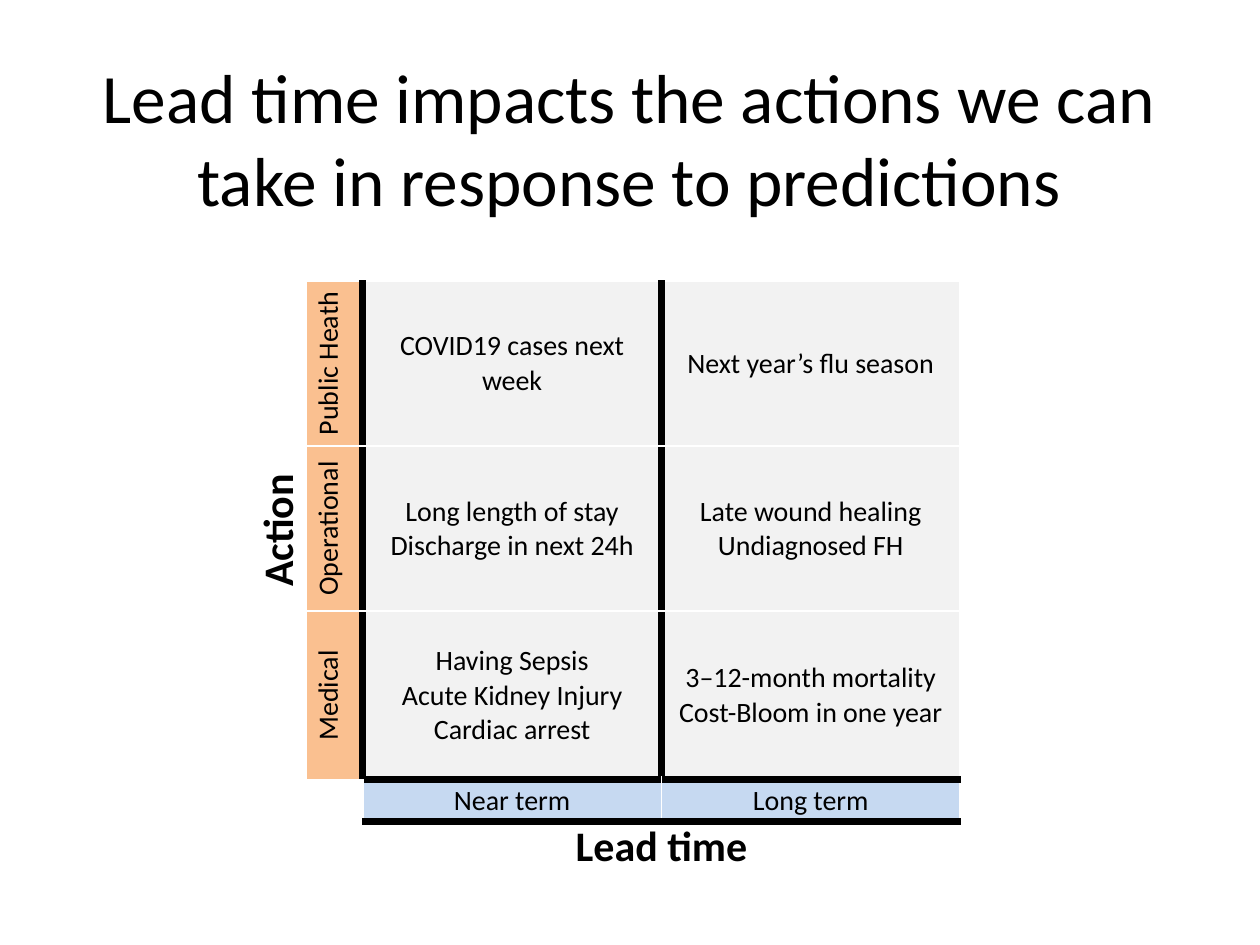
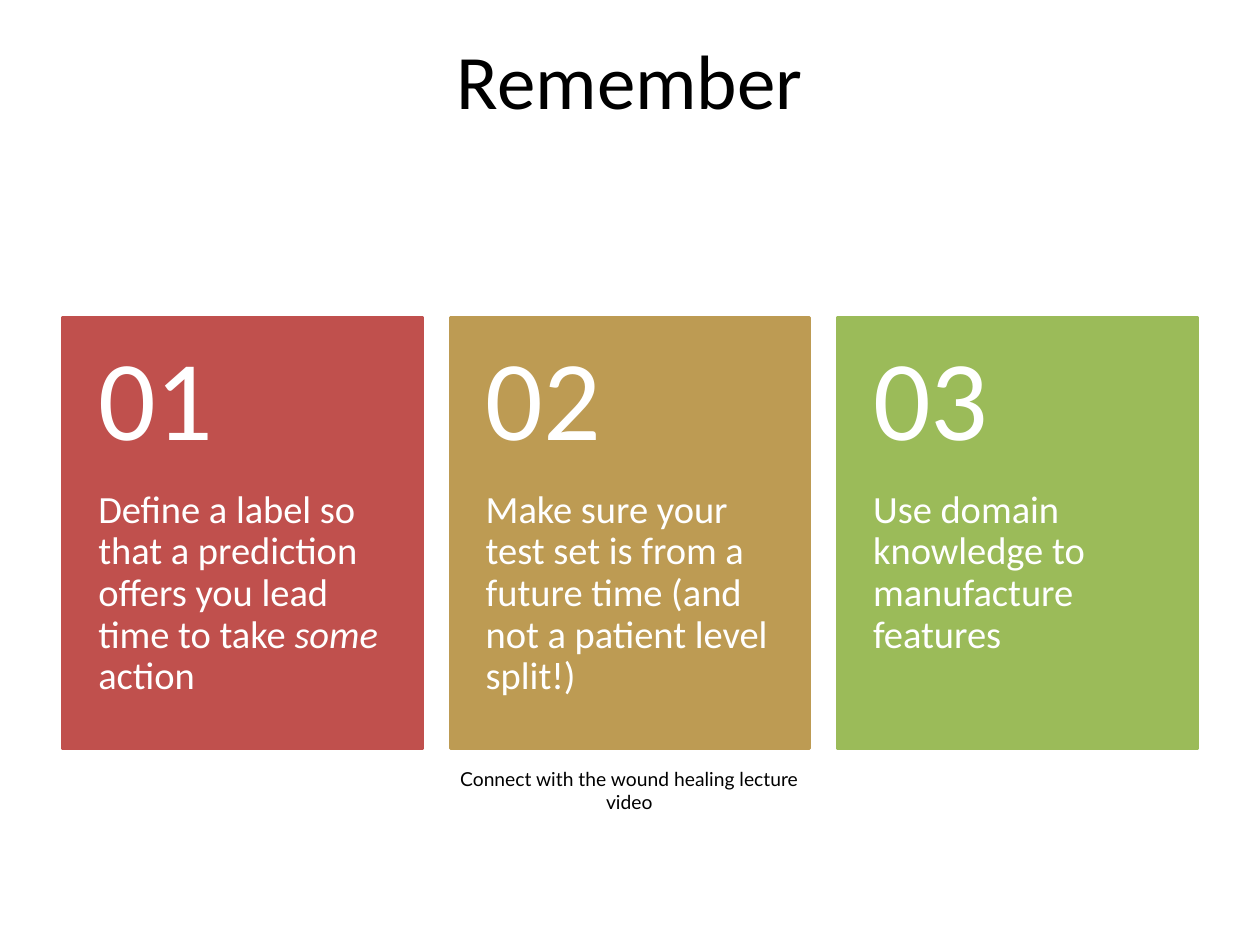
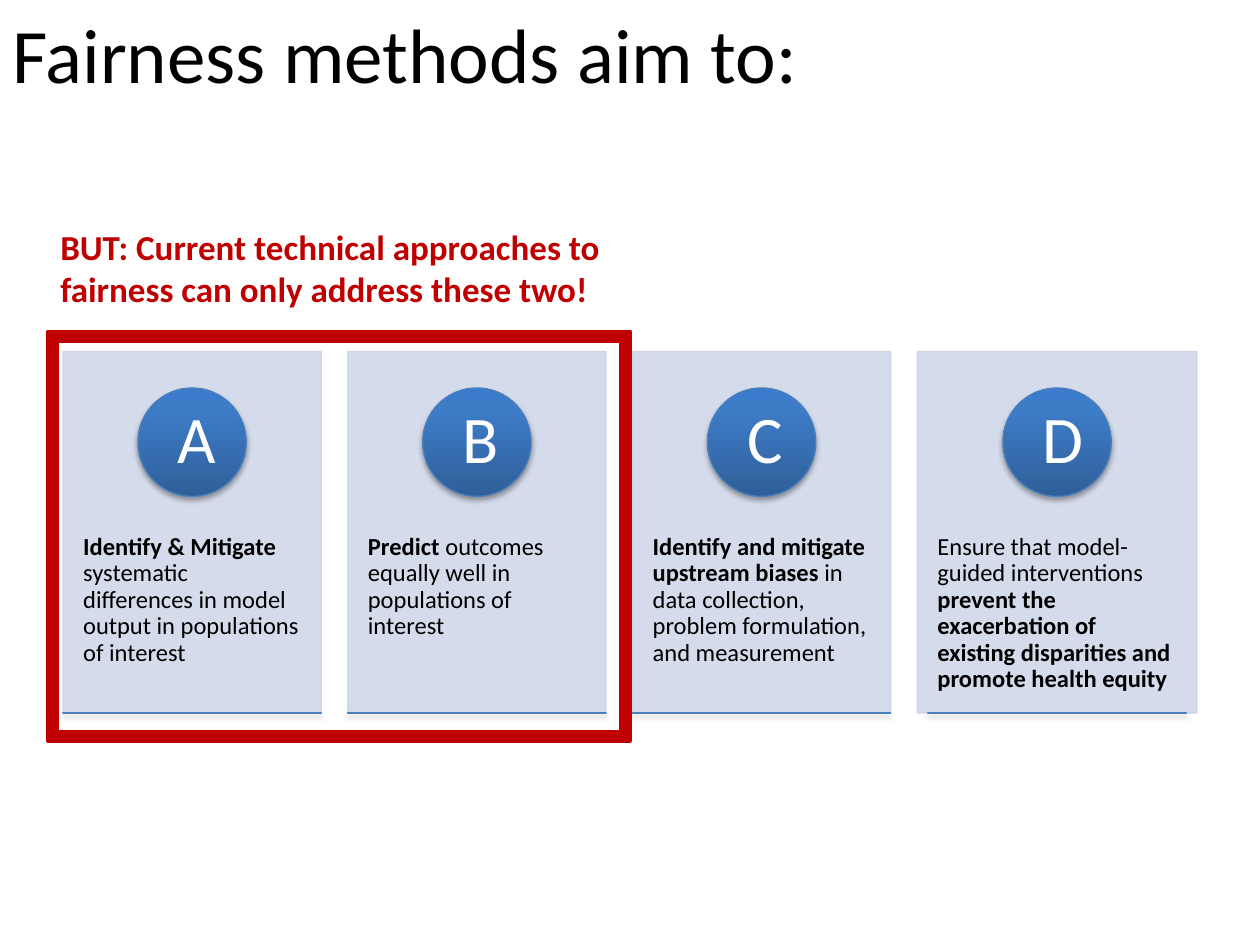
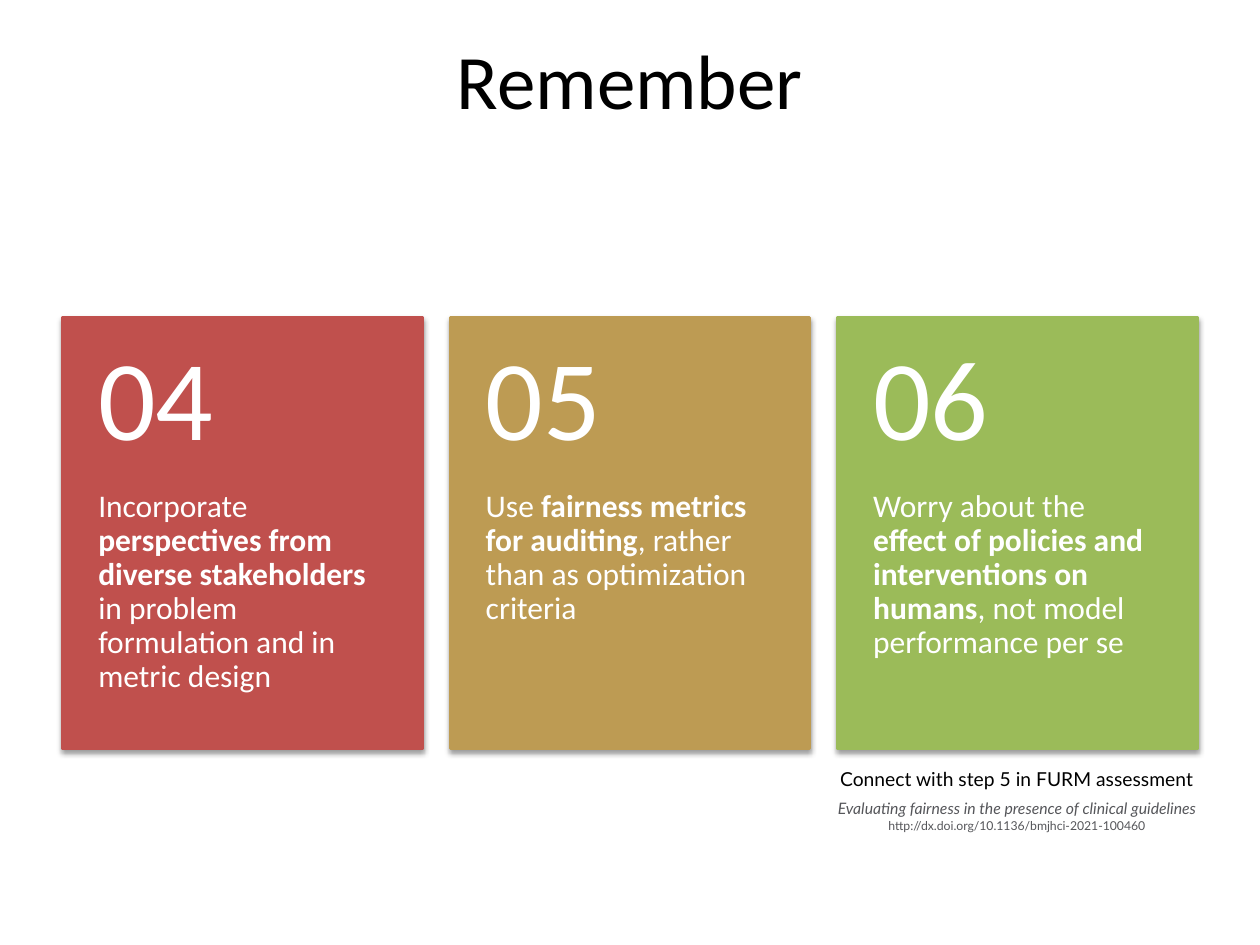
import lxml.etree
import pptx
import pptx.dml.color
import pptx.enum.shapes
import pptx.enum.text
import pptx.oxml
import pptx.oxml.ns
import pptx.util

Inches = pptx.util.Inches
Pt = pptx.util.Pt
RGBColor = pptx.dml.color.RGBColor
SHAPE = pptx.enum.shapes.MSO_SHAPE
ANCHOR = pptx.enum.text.MSO_ANCHOR
ALIGN = pptx.enum.text.PP_ALIGN
qn = pptx.oxml.ns.qn

BLACK = RGBColor(0x00, 0x00, 0x00)
WHITE = RGBColor(0xFF, 0xFF, 0xFF)
PEACH = RGBColor(0xFA, 0xC0, 0x90)
PALE_GREY = RGBColor(0xF2, 0xF2, 0xF2)
PALE_BLUE = RGBColor(0xC6, 0xD9, 0xF1)
BRICK = RGBColor(0xC0, 0x50, 0x4D)
OCHRE = RGBColor(0xBD, 0x9B, 0x53)
GREEN = RGBColor(0x9B, 0xBB, 0x59)
PANEL = RGBColor(0xD0, 0xD8, 0xE8)
PANEL_EDGE = RGBColor(0xCB, 0xD3, 0xE3)
BADGE_EDGE = RGBColor(0x4B, 0x7E, 0xBC)
BADGE_STOPS = [(0, RGBColor(0x2F, 0x5F, 0x99)), (80, RGBColor(0x3D, 0x7C, 0xC7)),
               (100, RGBColor(0x3A, 0x7C, 0xCB))]
WARNING = RGBColor(0xC0, 0x00, 0x00)
CITATION = RGBColor(0x55, 0x56, 0x5A)

BODY_FONT = "Calibri"
CAPTION_FONT = "Lato"
CARD_COLORS = [BRICK, OCHRE, GREEN]


def write(frame, paragraphs, size, color=BLACK, font=BODY_FONT, align=ALIGN.LEFT,
          anchor=ANCHOR.TOP, insets=(0.1, 0.05, 0.1, 0.05), line_spacing=None):
    """Fill a frame; each paragraph is a list of (text, style), style being "", "b" or "i"."""
    frame.word_wrap = True
    frame.vertical_anchor = anchor
    (frame.margin_left, frame.margin_top,
     frame.margin_right, frame.margin_bottom) = map(Inches, insets)
    for index, pieces in enumerate(paragraphs):
        paragraph = frame.add_paragraph() if index else frame.paragraphs[0]
        paragraph.alignment = align
        if line_spacing:
            paragraph.line_spacing = line_spacing
        for words, style in pieces:
            run = paragraph.add_run()
            run.text = words
            format_run(run, size, color, font, "b" in style, "i" in style)


def format_run(run, size, color, font=BODY_FONT, bold=False, italic=False):
    run.font.size = Pt(size)
    run.font.name = font
    run.font.color.rgb = color
    run.font.bold = bold
    run.font.italic = italic


def add_text(slide, box, paragraphs, size, **style):
    holder = slide.shapes.add_textbox(*map(Inches, box))
    write(holder.text_frame, paragraphs, size, **style)


def add_title(slide, box, words, size=44, align=ALIGN.CENTER, anchor=ANCHOR.MIDDLE):
    add_text(slide, box, [[(words, "")]], size, align=align, anchor=anchor)


def add_plain(slide, kind, box, fill, edge=None, edge_width=2.0):
    shape = slide.shapes.add_shape(kind, *map(Inches, box))
    shape.shadow.inherit = False
    shape.fill.solid()
    shape.fill.fore_color.rgb = fill
    if edge is None:
        shape.line.fill.background()
    else:
        shape.line.color.rgb = edge
        shape.line.width = Pt(edge_width)
    return shape


def add_color(parent, color, alpha=None):
    node = lxml.etree.SubElement(parent, qn("a:srgbClr"), val=str(color))
    if alpha is not None:
        lxml.etree.SubElement(node, qn("a:alpha"), val=str(alpha * 1000))


def make_translucent(shape, alpha):
    """Apply one opacity, in percent, to the fill and the line."""
    properties = shape._element.spPr
    for color in properties.iter(qn("a:srgbClr")):
        lxml.etree.SubElement(color, qn("a:alpha"), val=str(alpha * 1000))


def drop_shadow(shape, alpha, distance):
    effects = shape._element.spPr.find(qn("a:effectLst"))
    outer = lxml.etree.SubElement(
        effects, qn("a:outerShdw"), blurRad=str(Pt(3.1)), dist=str(Pt(distance)),
        dir="5400000", rotWithShape="0")
    add_color(outer, BLACK, alpha)


def shade_badge(shape):
    """Give the blue gradient and soft shadow of the lettered badges."""
    shape.fill.gradient()
    shape.fill.gradient_angle = 90
    stops = shape._element.spPr.find(qn("a:gradFill")).find(qn("a:gsLst"))
    for stop in list(stops):
        stops.remove(stop)
    for position, color in BADGE_STOPS:
        add_color(lxml.etree.SubElement(stops, qn("a:gs"), pos=str(position * 1000)), color)
    drop_shadow(shape, 35, 1.8)


# Lead time and action grid

GRID_COLUMNS = [0.45, 0.45, 2.37, 2.37]
GRID_ROWS = [1.31, 1.31, 1.34, 0.33, 0.38]
ACTIONS = ["Public Heath", "Operational", "Medical"]
EXAMPLES = [
    ["COVID19 cases next week", "Next year’s flu season"],
    ["Long length of stay\nDischarge in next 24h", "Late wound healing\nUndiagnosed FH"],
    ["Having Sepsis\nAcute Kidney Injury\nCardiac arrest",
     "3–12-month mortality\nCost-Bloom in one year"],
]
TERMS = ["Near term", "Long term"]


def set_borders(cell, row, column):
    """Draw the thick axes in black and every other edge as a thin white line."""
    beside_axis = row < 3
    in_plot = column >= 2
    axis = {
        "L": beside_axis and column in (2, 3),
        "R": beside_axis and column in (1, 2),
        "T": in_plot and row in (3, 4),
        "B": in_plot and row in (2, 3),
    }
    properties = cell._tc.get_or_add_tcPr()
    for index, (side, is_axis) in enumerate(axis.items()):
        edge = lxml.etree.Element(qn("a:ln" + side), w=str(Pt(4.5 if is_axis else 1)))
        add_color(lxml.etree.SubElement(edge, qn("a:solidFill")), BLACK if is_axis else WHITE)
        properties.insert(index, edge)


def fill_cell(cell, words, fill=None, size=16, bold=False, insets=(0.08, 0.04),
              sideways=False, anchor=ANCHOR.MIDDLE):
    if words:
        cell.text_frame.text = words
    cell.vertical_anchor = anchor
    cell.margin_left = cell.margin_right = Inches(insets[0])
    cell.margin_top = cell.margin_bottom = Inches(insets[1])
    for paragraph in cell.text_frame.paragraphs:
        paragraph.alignment = ALIGN.CENTER
        for run in paragraph.runs:
            format_run(run, size, BLACK, bold=bold)
    if sideways:
        cell._tc.get_or_add_tcPr().set("vert", "vert270")
    if fill is not None:
        cell.fill.solid()
        cell.fill.fore_color.rgb = fill


def add_action_grid(slide, left, top):
    grid = slide.shapes.add_table(
        len(GRID_ROWS), len(GRID_COLUMNS), Inches(left), Inches(top),
        Inches(sum(GRID_COLUMNS)), Inches(sum(GRID_ROWS))).table
    grid.first_row = grid.horz_banding = False
    for column, width in zip(grid.columns, GRID_COLUMNS):
        column.width = Inches(width)
    for row, height in zip(grid.rows, GRID_ROWS):
        row.height = Inches(height)
    for row in range(len(GRID_ROWS)):
        for column in range(len(GRID_COLUMNS)):
            cell = grid.cell(row, column)
            cell.fill.background()
            fill_cell(cell, "", insets=(0, 0))
            set_borders(cell, row, column)

    grid.cell(0, 0).merge(grid.cell(2, 0))
    grid.cell(4, 2).merge(grid.cell(4, 3))
    fill_cell(grid.cell(0, 0), "Action", size=24, bold=True, insets=(0.06, 0.03), sideways=True)
    fill_cell(grid.cell(4, 2), "Lead time", size=24, bold=True, insets=(0, 0),
              anchor=ANCHOR.TOP)
    for row, (action, examples) in enumerate(zip(ACTIONS, EXAMPLES)):
        fill_cell(grid.cell(row, 1), action, PEACH, sideways=True)
        for column, example in enumerate(examples, 2):
            fill_cell(grid.cell(row, column), example, PALE_GREY)
    for column, term in enumerate(TERMS, 2):
        fill_cell(grid.cell(3, column), term, PALE_BLUE, insets=(0, 0))


def build_lead_time(slide):
    add_title(slide, (0.28, 0.37, 9.43, 1.44),
              "Lead time impacts the actions we can take in response to predictions", 39.6)
    add_action_grid(slide, 1.98, 2.23)


# Numbered reminder cards

CARD_AREA = (0.5, 2.52, 9.0, 3.42)
CARD_WIDTH = 2.85
NUMBER_HEIGHT = 1.37
CAPTION_TOP = 6.04

MODEL_ADVICE = [
    [("Define a label so that a prediction offers you lead time to take ", ""),
     ("some", "i"), (" action", "")],
    [("Make sure your test set is from a future time (and not a patient level split!)", "")],
    [("Use domain knowledge to manufacture features", "")],
]
FAIRNESS_ADVICE = [
    [("Incorporate ", ""), ("perspectives from diverse stakeholders", "b"),
     (" in problem formulation and in metric design", "")],
    [("Use ", ""), ("fairness metrics for auditing", "b"),
     (", rather than as optimization criteria", "")],
    [("Worry about the ", ""), ("effect of policies and interventions on humans", "b"),
     (", not model performance per se", "")],
]


def card_left(index):
    left, _, width, _ = CARD_AREA
    return left + index * (width - CARD_WIDTH) / (len(CARD_COLORS) - 1)


def add_card(slide, box, number, advice, color, size, shadowed):
    left, top, width, height = box
    card = add_plain(slide, SHAPE.RECTANGLE, box, color, color)
    if shadowed:
        drop_shadow(card, 38, 1.6)
    add_text(slide, (left, top + NUMBER_HEIGHT, width, height - NUMBER_HEIGHT), [advice], size,
             color=WHITE, insets=(0.28, 0, 0.28, 0.36), line_spacing=0.9)
    add_text(slide, (left, top, width, NUMBER_HEIGHT), [[(f"{number:02}", "")]], 65,
             color=WHITE, anchor=ANCHOR.MIDDLE, insets=(0.28, 0.18, 0.28, 0.18),
             line_spacing=0.9)


def caption_box(index, offset=0):
    return (card_left(index) - 0.01, CAPTION_TOP + offset, CARD_WIDTH + 0.01, 0.29)


def add_caption(slide, index, words):
    add_text(slide, caption_box(index), [[(words, "")]], 11, font=CAPTION_FONT,
             align=ALIGN.CENTER, insets=(0, 0.05, 0, 0.05))


def add_citation(slide, index, work, address):
    note = add_plain(slide, SHAPE.RECTANGLE, caption_box(index, 0.29), WHITE)
    write(note.text_frame, [[(work, "i")], [(address, "")]], 9, color=CITATION,
          font=CAPTION_FONT, align=ALIGN.CENTER, anchor=ANCHOR.MIDDLE,
          insets=(0, 0.05, 0, 0.05))
    note.text_frame.paragraphs[1].runs[0].font.size = Pt(7)


def build_reminders(slide, first_number, advices, size, shadowed=False):
    add_title(slide, (0, 0, 10, 1.25), "Remember")
    _, top, _, height = CARD_AREA
    for index, (advice, color) in enumerate(zip(advices, CARD_COLORS)):
        add_card(slide, (card_left(index), top, CARD_WIDTH, height), first_number + index,
                 advice, color, size, shadowed)


# Fairness aims

AIM_TOP, AIM_HEIGHT, AIM_GAP = 2.79, 2.87, 0.21
AIM_WIDTH = 2.05
BADGE_SIZE = 0.86
AIMS = [
    ("A", 2.05, [("Identify & Mitigate", "b"),
                 (" systematic differences in model output in populations of interest", "")]),
    ("B", 2.05, [("Predict", "b"), (" outcomes equally well in populations of interest", "")]),
    ("C", 2.05, [("Identify and mitigate upstream biases ", "b"),
                 ("in data collection, problem formulation, and measurement", "")]),
    ("D", 2.22, [("Ensure that model-guided interventions ", ""),
                 ("prevent the exacerbation of existing disparities and promote health equity",
                  "b")]),
]


def add_aim(slide, box, letter, aim):
    left, top, width, height = box
    center = left + width / 2
    panel = add_plain(slide, SHAPE.RECTANGLE, box, PANEL, PANEL_EDGE, 0.75)
    make_translucent(panel, 90)
    write(panel.text_frame, [aim], 14, insets=(0.16, 1.45, 0.16, 0.42), line_spacing=0.9)

    badge = add_plain(slide, SHAPE.OVAL,
                      (center - BADGE_SIZE / 2, top + 0.29, BADGE_SIZE, BADGE_SIZE),
                      PANEL, BADGE_EDGE, 0.75)
    shade_badge(badge)
    write(badge.text_frame, [[(letter, "")]], 38, color=WHITE, align=ALIGN.CENTER,
          anchor=ANCHOR.MIDDLE, insets=(0.19, 0.14, 0.19, 0.14), line_spacing=0.9)

    baseline = add_plain(slide, SHAPE.RECTANGLE,
                         (center - AIM_WIDTH / 2, top + height, AIM_WIDTH, 0),
                         PANEL, BADGE_EDGE, 0.75)
    shade_badge(baseline)


def add_limit(slide, left, top, width):
    """Frame the aims that technical approaches can address, under a warning."""
    border = add_plain(slide, SHAPE.FRAME, (left, top + 0.89, width, 3.25), WARNING, WARNING)
    border.adjustments[0] = 0.023
    warning = "BUT: Current technical approaches to fairness can only address these two!"
    add_text(slide, (left, top, width, 0.77), [[(warning, "b")]], 20, color=WARNING)


def build_fairness(slide):
    add_title(slide, (0, 0, 9.5, 1.25), "Fairness methods aim to:",
              align=ALIGN.LEFT, anchor=ANCHOR.TOP)
    left = 0.5
    for letter, width, aim in AIMS:
        add_aim(slide, (left, AIM_TOP, width, AIM_HEIGHT), letter, aim)
        left += width + AIM_GAP
    add_limit(slide, 0.38, 1.74, 4.62)


def main():
    deck = pptx.Presentation()
    deck.slide_width, deck.slide_height = Inches(10), Inches(7.5)
    blank = deck.slide_layouts[6]
    lead_time, model_reminders, fairness, fairness_reminders = (
        deck.slides.add_slide(blank) for _ in range(4))

    build_lead_time(lead_time)
    build_reminders(model_reminders, 1, MODEL_ADVICE, 22)
    add_caption(model_reminders, 1, "Connect with the wound healing lecture video")
    build_fairness(fairness)
    build_reminders(fairness_reminders, 4, FAIRNESS_ADVICE, 18, shadowed=True)
    add_caption(fairness_reminders, 2, "Connect with step 5 in FURM assessment")
    add_citation(fairness_reminders, 2,
                 "Evaluating fairness in the presence of clinical guidelines",
                 "http://dx.doi.org/10.1136/bmjhci-2021-100460")
    deck.save("out.pptx")


if __name__ == "__main__":
    main()
